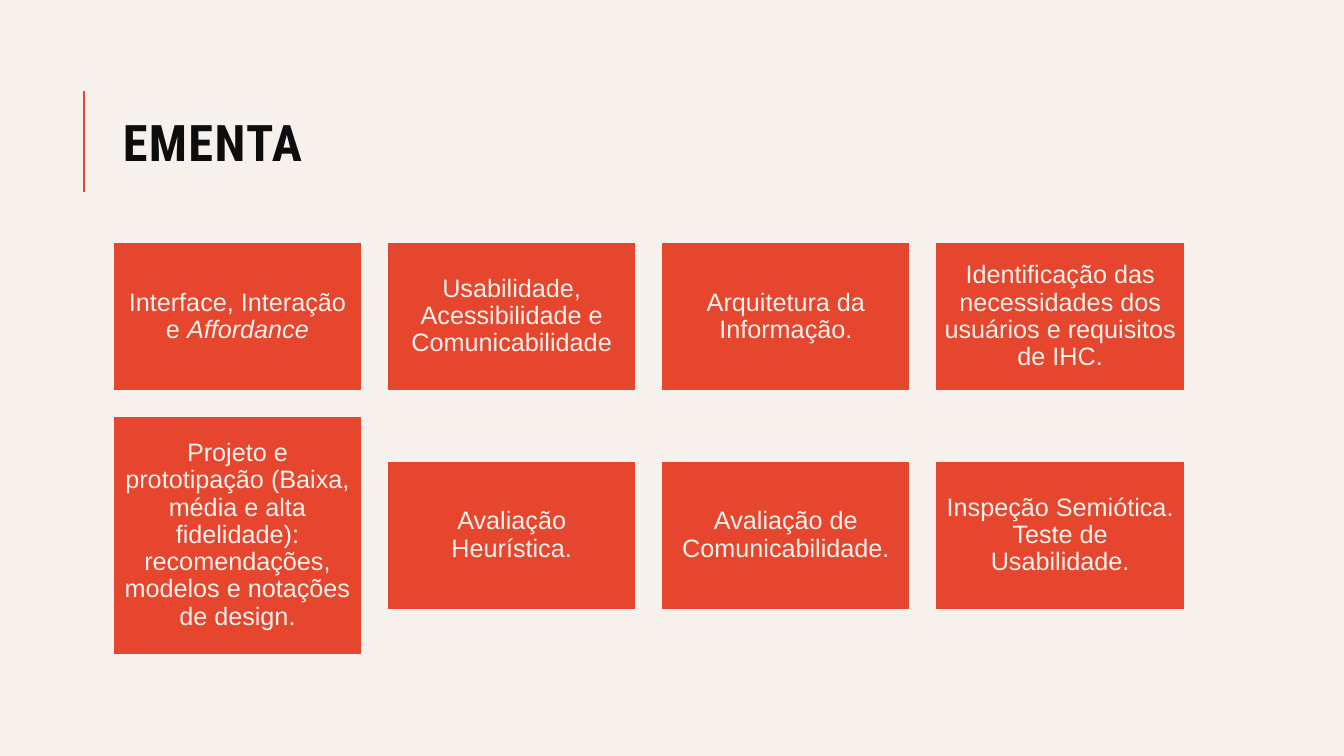
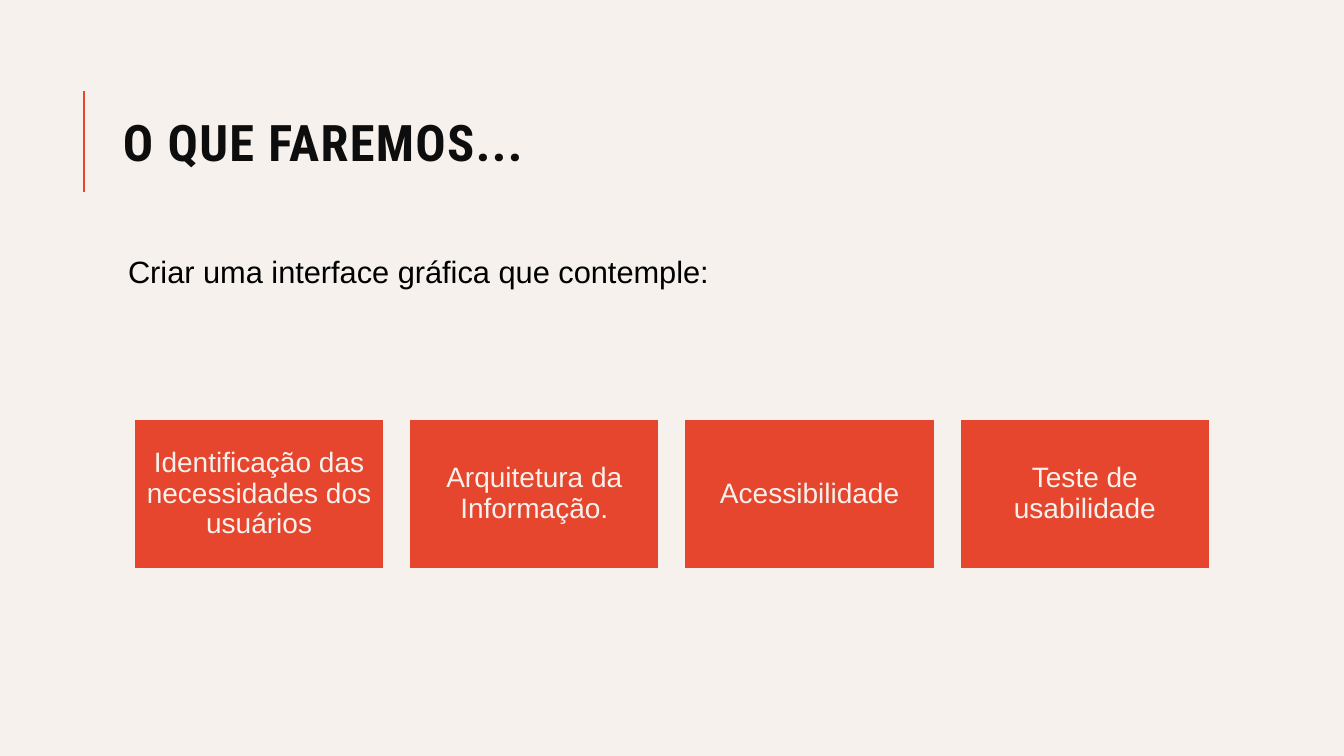
from dataclasses import dataclass

from lxml import etree
from pptx import Presentation
from pptx.dml.color import RGBColor
from pptx.enum import shapes, text
from pptx.oxml import ns
from pptx.util import Inches, Pt

# Shared look
ACCENT = "E5462D"
PAPER = "F6F1EC"
TITLE_INK = "0D0D0D"
BODY_INK = "000000"
TITLE_FONT = "Roboto Condensed"
BODY_FONT = "Arial"
COLUMNS = 4
MARGIN = 1.12
CONTENT_WIDTH = 10.63


@dataclass(frozen=True)
class Card:
    label: str
    emphasis: str = ""
    height: float = 1.48


@dataclass(frozen=True)
class CardGrid:
    left: float
    row_centers: tuple[float, ...]
    card_width: float
    pitch: float
    inset: float
    font_size: int


TOPIC_GRID = CardGrid(MARGIN, (3.14, 5.31), 2.47, 2.72, 0.07, 18)
TOPICS = (
    Card("Interface, Interação e ", emphasis="Affordance"),
    Card("Usabilidade, Acessibilidade e Comunicabilidade"),
    Card("Arquitetura da Informação."),
    Card("Identificação das necessidades dos usuários e requisitos de IHC."),
    Card("Projeto e prototipação (Baixa, média e alta fidelidade): "
         "recomendações, modelos e notações de design.", height=2.37),
    Card("Avaliação Heurística."),
    Card("Avaliação de Comunicabilidade."),
    Card("Inspeção Semiótica. Teste de Usabilidade."),
)

GOAL_GRID = CardGrid(1.33, (4.9,), 2.48, 2.73, 0.08, 20)
GOALS = (
    Card("Identificação das necessidades dos usuários", height=1.49),
    Card("Arquitetura da Informação.", height=1.49),
    Card("Acessibilidade", height=1.49),
    Card("Teste de usabilidade", height=1.49),
)


def color(value: str) -> RGBColor:
    return RGBColor.from_string(value)


def set_insets(frame, left: float, other: float) -> None:
    frame.margin_left = Inches(left)
    frame.margin_top = frame.margin_right = frame.margin_bottom = Inches(other)


def style_runs(para, font: str, size: int, ink: str, bold: bool = False) -> None:
    for span in para.runs:
        span.font.name = font
        span.font.size = Pt(size)
        span.font.bold = bold
        span.font.color.rgb = color(ink)


def add_page(deck, title: str):
    """Add a page with the shared background, accent rule and title."""
    page = deck.slides.add_slide(deck.slide_layouts[6])
    page.background.fill.solid()
    page.background.fill.fore_color.rgb = color(PAPER)

    # Accent rule
    rule = page.shapes.add_connector(
        shapes.MSO_CONNECTOR.STRAIGHT,
        Inches(0.83), Inches(1.9), Inches(0.83), Inches(0.9))
    rule.line.color.rgb = color(ACCENT)
    rule.line.width = Pt(1.5)
    etree.SubElement(rule.element.spPr, ns.qn("a:effectLst"))

    # Title
    box = page.shapes.add_textbox(
        Inches(MARGIN), Inches(0.64), Inches(CONTENT_WIDTH), Inches(1.64))
    frame = box.text_frame
    frame.word_wrap = True
    frame.vertical_anchor = text.MSO_ANCHOR.MIDDLE
    frame.text = title
    para = frame.paragraphs[0]
    para.line_spacing = 0.8
    style_runs(para, TITLE_FONT, 36, TITLE_INK, bold=True)
    para.runs[0].font._element.set("spc", "100")
    return page


def add_lead(page, sentence: str) -> None:
    box = page.shapes.add_textbox(
        Inches(MARGIN), Inches(2.5), Inches(CONTENT_WIDTH), Inches(4.4))
    frame = box.text_frame
    frame.word_wrap = True
    set_insets(frame, 0.15, 0.05)
    frame.text = sentence
    para = frame.paragraphs[0]
    para.line_spacing = 0.9
    para.space_before = Pt(12)
    para.space_after = Pt(2)
    style_runs(para, BODY_FONT, 22, BODY_INK)


def add_cards(page, cards: tuple[Card, ...], grid: CardGrid) -> None:
    """Fill the grid row by row, centring each card on its row."""
    for index, card in enumerate(cards):
        row, column = divmod(index, COLUMNS)
        box = page.shapes.add_shape(
            shapes.MSO_SHAPE.RECTANGLE,
            Inches(grid.left + column * grid.pitch),
            Inches(grid.row_centers[row] - card.height / 2),
            Inches(grid.card_width), Inches(card.height))
        box.shadow.inherit = False
        box.fill.solid()
        box.fill.fore_color.rgb = color(ACCENT)
        box.line.color.rgb = color(PAPER)
        box.line.width = Pt(1.25)

        frame = box.text_frame
        frame.word_wrap = True
        frame.vertical_anchor = text.MSO_ANCHOR.MIDDLE
        set_insets(frame, grid.inset, grid.inset)
        frame.text = card.label
        para = frame.paragraphs[0]
        para.alignment = text.PP_ALIGN.CENTER
        para.line_spacing = 0.9
        if card.emphasis:
            span = para.add_run()
            span.text = card.emphasis
            span.font.italic = True
        style_runs(para, BODY_FONT, grid.font_size, PAPER)


def main() -> None:
    deck = Presentation()
    deck.slide_width = Inches(13.33)
    deck.slide_height = Inches(7.5)

    # Syllabus
    syllabus = add_page(deck, "EMENTA")
    add_cards(syllabus, TOPICS, TOPIC_GRID)

    # Project goals
    project = add_page(deck, "O QUE FAREMOS...")
    add_lead(project, "Criar uma interface gráfica que contemple:")
    add_cards(project, GOALS, GOAL_GRID)

    deck.save("out.pptx")


if __name__ == "__main__":
    main()
